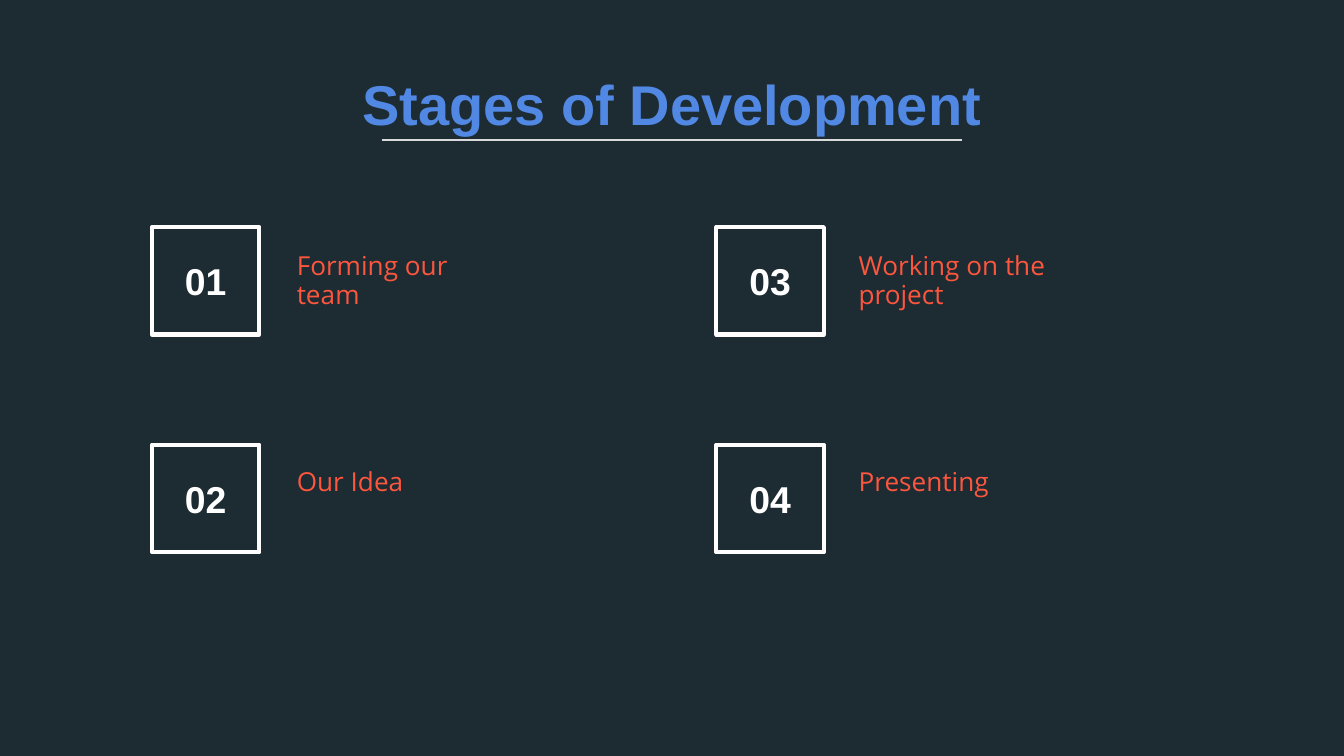
from dataclasses import dataclass

from lxml import etree
from pptx import Presentation
from pptx import util as u
from pptx.dml.color import RGBColor
from pptx.enum import shapes, text
from pptx.oxml import ns


@dataclass(frozen=True)
class Theme:
    background: str = "1D2B32"
    rule: str = "D9D9D9"
    title: str = "5188E4"
    number: str = "FFFFFF"
    stage: str = "FD563E"
    heading_font: str = "Arial"
    body_font: str = "Open Sans"
    title_size: float = 30
    number_size: float = 20
    stage_size: float = 14


def write(frame, words, *, font, size, color, bold=False, align=text.PP_ALIGN.LEFT,
          anchor=text.MSO_ANCHOR.TOP, spacing=1.0, right=7.2):
    frame.word_wrap = True
    frame.vertical_anchor = anchor
    frame.margin_left = frame.margin_top = frame.margin_bottom = u.Pt(7.2)
    frame.margin_right = u.Pt(right)
    paragraph = frame.paragraphs[0]
    paragraph.alignment = align
    paragraph.line_spacing = spacing
    run = paragraph.add_run()
    run.text = words
    run.font.name = font
    run.font.size = u.Pt(size)
    run.font.bold = bold
    run.font.color.rgb = RGBColor.from_string(color)


class StageSlide:
    """Draws the parts of a stages slide in one theme."""

    def __init__(self, slide, theme):
        self.slide = slide
        self.theme = theme
        fill = slide.background.fill
        fill.solid()
        fill.fore_color.rgb = RGBColor.from_string(theme.background)

    def rule(self, left, right, y):
        rule = self.slide.shapes.add_connector(
            shapes.MSO_CONNECTOR.STRAIGHT, u.Pt(left), u.Pt(y), u.Pt(right), u.Pt(y))
        rule.line.color.rgb = RGBColor.from_string(self.theme.rule)
        rule.line.width = u.Pt(0.75)
        etree.SubElement(rule._element.spPr, ns.qn("a:effectLst"))

    def square(self, left, top, side):
        square = self.slide.shapes.add_shape(
            shapes.MSO_SHAPE.RECTANGLE, u.Pt(left), u.Pt(top), u.Pt(side), u.Pt(side))
        square.shadow.inherit = False
        square.fill.background()
        square.line.color.rgb = RGBColor.from_string(self.theme.number)
        square.line.width = u.Pt(2.25)

    def label(self, words, left, top, width, height, **style):
        box = self.slide.shapes.add_textbox(u.Pt(left), u.Pt(top), u.Pt(width), u.Pt(height))
        write(box.text_frame, words, **style)

    def title(self, words, *place):
        self.label(words, *place, font=self.theme.heading_font, size=self.theme.title_size,
                   color=self.theme.title, bold=True, align=text.PP_ALIGN.CENTER,
                   anchor=text.MSO_ANCHOR.BOTTOM)

    def number(self, words, *place):
        self.label(words, *place, font=self.theme.heading_font, size=self.theme.number_size,
                   color=self.theme.number, bold=True, align=text.PP_ALIGN.CENTER,
                   anchor=text.MSO_ANCHOR.MIDDLE)

    def stage(self, words, *place, right):
        self.label(words, *place, font=self.theme.body_font, size=self.theme.stage_size,
                   color=self.theme.stage, spacing=0.9, right=right)


def main():
    deck = Presentation()
    deck.slide_width, deck.slide_height = u.Pt(720), u.Pt(405)
    page = StageSlide(deck.slides.add_slide(deck.slide_layouts[6]), Theme())

    page.rule(204.6, 515.4, 75)
    page.title("Stages of Development", 42.5, 35.3, 635, 45.4)

    side, number_height = 57.6, 27.4
    columns = [(81.4, 151.9), (383.8, 452.9)]
    rows = [(121.7, 128.5), (238.3, 244.1)]
    stages = [("Forming our team", 86.4), ("Our Idea", 7.2),
              ("Working on the project", 43.2), ("Presenting", 79.2)]
    for index, (stage, right) in enumerate(stages):
        column, row = divmod(index, len(rows))
        square_left, stage_left = columns[column]
        square_top, stage_top = rows[row]
        page.square(square_left, square_top, side)
        page.number(f"{index + 1:02}", square_left, square_top + (side - number_height) / 2,
                    side, number_height)
        page.stage(stage, stage_left, stage_top, 185.8, 45.4, right=right)

    deck.save("out.pptx")


if __name__ == "__main__":
    main()
